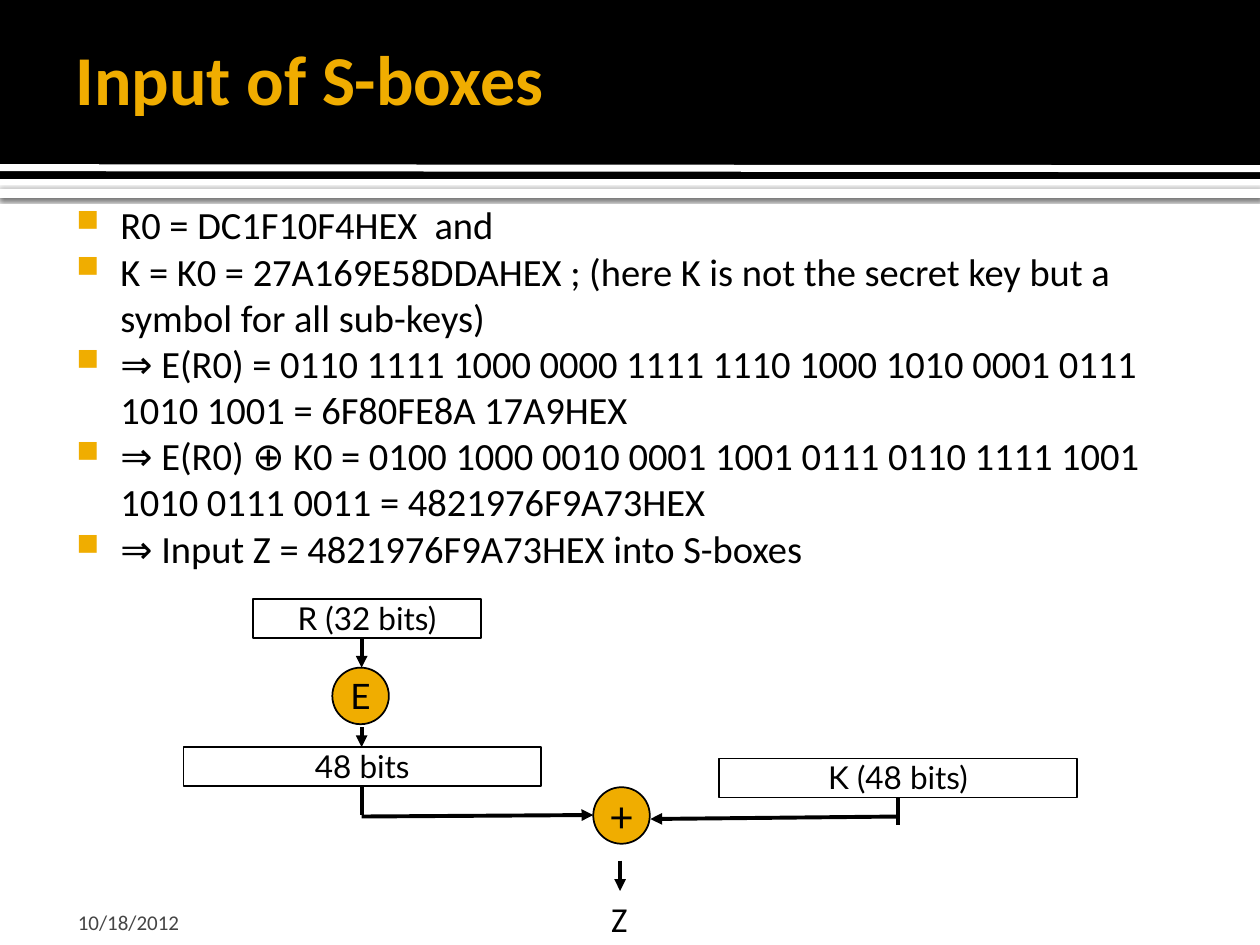
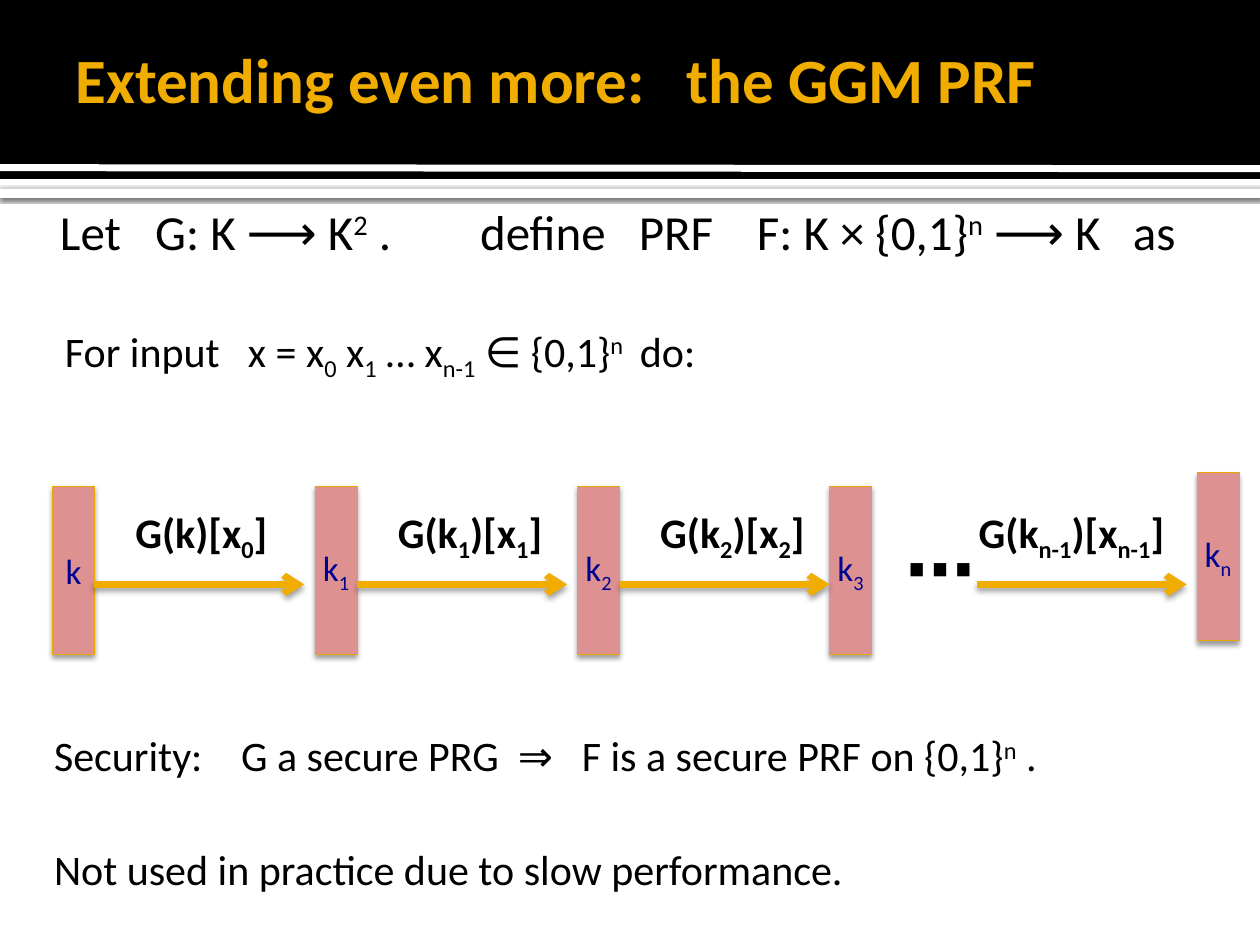
from dataclasses import dataclass
from lxml.etree import SubElement
from pptx import Presentation
from pptx.dml.color import RGBColor
from pptx.enum.shapes import MSO_CONNECTOR, MSO_SHAPE
from pptx.enum.text import MSO_ANCHOR, MSO_AUTO_SIZE, PP_ALIGN
from pptx.oxml.ns import qn
from pptx.util import Cm, Pt


@dataclass(frozen=True)
class Theme:
    black: str = "000000"
    white: str = "FFFFFF"
    gold: str = "F0AD00"
    edge: str = "EBA900"
    pink: str = "DD9191"
    navy: str = "000090"
    grey: str = "454545"
    body_font: str = "Calibri"
    diagram_font: str = "Lato"
    small: int = 12
    bits: int = 18
    label: int = 20
    bullet: int = 22
    text: int = 24
    lead: int = 28
    title: int = 40
    long_title: int = 36


T = Theme()
RECT, OVAL, LINE, TEXT = MSO_SHAPE.RECTANGLE, MSO_SHAPE.OVAL, MSO_CONNECTOR.STRAIGHT, None
LEFT, CENTER = PP_ALIGN.LEFT, PP_ALIGN.CENTER
TOP, MIDDLE, BOTTOM = MSO_ANCHOR.TOP, MSO_ANCHOR.MIDDLE, MSO_ANCHOR.BOTTOM


def draw(shapes, kind, box, fill=None, line=None, width=1, tail=None, shadow=None):
    """Add a shape, line or text box; box is x, y, width, height in cm.

    shadow is opacity in percent, blur and distance in points.
    """
    x, y, w, h = box
    if kind is TEXT:
        return shapes.add_textbox(Cm(x), Cm(y), Cm(w), Cm(h))
    if kind is LINE:
        sp = shapes.add_connector(LINE, Cm(x), Cm(y), Cm(x + w), Cm(y + h))
    else:
        sp = shapes.add_shape(kind, Cm(x), Cm(y), Cm(w), Cm(h))
        if fill:
            sp.fill.solid()
            sp.fill.fore_color.rgb = RGBColor.from_string(fill)
        else:
            sp.fill.background()
    if line:
        sp.line.color.rgb = RGBColor.from_string(line)
        sp.line.width = Pt(width)
    else:
        sp.line.fill.background()
    spPr = sp._element.spPr
    if tail:
        SubElement(spPr.find(qn("a:ln")), qn("a:tailEnd"), type=tail)
    effects = SubElement(spPr, qn("a:effectLst"))
    if shadow:
        alpha, blur, dist = shadow
        outer = SubElement(effects, qn("a:outerShdw"), blurRad=str(Pt(blur)),
                           dist=str(Pt(dist)), dir="5400000", rotWithShape="0")
        clr = SubElement(outer, qn("a:srgbClr"), val=T.black)
        SubElement(clr, qn("a:alpha"), val=str(alpha * 1000))
    return sp


def write(sp, lines, size, color=T.black, font=T.body_font, bold=False, align=LEFT,
          anchor=TOP, insets=(0.25, 0.13, 0.25, 0.13), wrap=False, bullet=None, tabs=()):
    """Fill a shape with paragraphs; "|" parts runs, "_" lowers one and "^" raises it."""
    tf = sp.text_frame
    frame = dict(auto_size=MSO_AUTO_SIZE.NONE, word_wrap=wrap, vertical_anchor=anchor)
    frame.update(zip(("margin_left", "margin_top", "margin_right", "margin_bottom"),
                     map(Cm, insets)))
    for name, value in frame.items():
        setattr(tf, name, value)
    for i, text in enumerate(lines):
        p = tf.add_paragraph() if i else tf.paragraphs[0]
        p.alignment = align
        pPr = p._p.get_or_add_pPr()
        if bullet:
            pPr.set("marL", str(Cm(1.22)))
            pPr.set("indent", str(Cm(-0.89)))
            SubElement(SubElement(pPr, qn("a:buClr")), qn("a:srgbClr"), val=T.gold)
            SubElement(pPr, qn("a:buSzPct"), val="80000")
            SubElement(pPr, qn("a:buChar"), char=bullet)
        if tabs:
            stops = SubElement(pPr, qn("a:tabLst"))
            for pos in tabs:
                SubElement(stops, qn("a:tab"), pos=str(Cm(pos)), algn="l")
        for part in text.split("|"):
            shift = {"_": "-25000", "^": "30000"}.get(part[0])
            r = p.add_run()
            r.text = part[1:] if shift else part
            for name, value in dict(size=Pt(size), name=font, bold=bold).items():
                setattr(r.font, name, value)
            r.font.color.rgb = RGBColor.from_string(color)
            if shift:
                r._r.get_or_add_rPr().set("baseline", shift)


prs = Presentation()
prs.slide_width, prs.slide_height = Cm(25.4), Cm(19.05)
slides = []
for title, size, tabs in (("Input of S-boxes", T.title, ()),
                          ("Extending even more:\tthe GGM PRF", T.long_title, (12.32,))):
    s = prs.slides.add_slide(prs.slide_layouts[5])
    sp = s.shapes.title
    sp.left, sp.top, sp.width, sp.height = Cm(1.27), Cm(0.2), Cm(20.96), Cm(2.74)
    write(sp, [title], size, T.gold, bold=True, anchor=MIDDLE, wrap=True, tabs=tabs)
    slides.append(s)
sbox, ggm = (s.shapes for s in slides)

# Header bands belong to the master, behind every slide
bands = (draw(sbox, RECT, (0, 3.81, 25.4, 0.18), T.white, shadow=(60, 2.5, 0.8)),
         draw(sbox, RECT, (0, 0, 25.4, 3.61), T.black),
         draw(sbox, LINE, (0, 3.38, 25.4, 0.02), line=T.white, width=4))
for i, band in enumerate(bands):
    band._element.find(".//" + qn("p:cNvPr")).set("id", str(100 + i))
    prs.slide_master.shapes._spTree.insert(2 + i, band._element)

# Slide 1: input of S-boxes
body_box, body_insets = (1.06, 3.81, 23.7, 14.17), (0.15, 0.25, 0.25, 0.13)
write(draw(sbox, TEXT, body_box), [
    "R0 = DC1F10F4HEX\tand",
    "K = K0 = 27A169E58DDAHEX ; (here K is not the secret key but a symbol for all sub-keys)",
    "⇒ E(R0) = 0110 1111 1000 0000 1111 1110 1000 1010 0001 0111 1010 1001 = 6F80FE8A 17A9HEX",
    "⇒ E(R0) ⊕ K0 = 0100 1000 0010 0001 1001 0111 0110 1111 1001 1010 0111 0011 = 4821976F9A73HEX",
    "⇒ Input Z = 4821976F9A73HEX into S-boxes",
], T.bullet, insets=body_insets, wrap=True, bullet="■", tabs=(7.55,))
write(draw(sbox, TEXT, (1.27, 18.08, 5.92, 0.76)), ["10/18/2012"], T.small, T.grey,
      anchor=BOTTOM, insets=(0.3, 0.13, 0.13, 0), wrap=True)

for text, x, y, w in (("R (32 bits)", 5.1, 12.07, 4.6), ("48 bits", 3.7, 15.06, 7.21),
                      ("K (48 bits)", 14.5, 15.29, 7.21)):
    write(draw(sbox, RECT, (x, y, w, 0.79), line=T.black), [text], T.bits,
          font=T.diagram_font, align=CENTER, insets=(0, 0, 0, 0), wrap=True)
for text, x, y, size in (("E", 6.7, 13.46, T.label), ("+", 11.96, 15.87, T.text)):
    write(draw(sbox, OVAL, (x, y, 1.14, 1.14), T.gold, T.black), [text], size,
          font=T.diagram_font, align=CENTER, anchor=MIDDLE)
for box, tail in (((7.29, 12.88, 0, 0.58), "triangle"), ((7.29, 14.66, 0, 0.4), "triangle"),
                  ((7.3, 15.87, 0, 0.56), None), ((7.29, 16.46, 4.67, -0.03), "triangle"),
                  ((18.11, 16.08, 0, 0.55), None), ((18.11, 16.46, -5, 0.05), "triangle"),
                  ((12.5, 17.35, 0, 0.61), "triangle")):
    draw(sbox, LINE, box, line=T.black, width=2.25, tail=tail)
write(draw(sbox, TEXT, (12.07, 17.96, 0.9, 1.09)), ["Z"], T.label)

# Slide 2: the GGM PRF
write(draw(ggm, TEXT, body_box),
      ["Let\tG: K ⟶ K|^2| .\tdefine\tPRF\tF: K × {0,1}|^n| ⟶ K\tas"], T.lead,
      insets=body_insets, wrap=True, tabs=(1.92, 8.47, 11.67, 14.05, 21.63))
for text, x, y, w, tabs in (
        ("For input\tx = x|_0| x|_1| … x|_n-1| ∈ {0,1}|^n|\tdo:", 1.06, 6.43, 14, (3.69, 11.59)),
        ("Security:\tG a secure PRG\t⇒\tF is a secure PRF on {0,1}|^n| .", 0.84, 14.58, 21,
         (3.77, 9.35, 10.64)),
        ("Not used in practice due to slow performance.", 0.84, 16.87, 17.5, ())):
    write(draw(ggm, TEXT, (x, y, w, 1.27)), [text], T.text, wrap=True, tabs=tabs)

for key, x, y in (("k", 1.06, 9.8), ("k|_1", 6.35, 9.8), ("k|_2", 11.64, 9.8),
                  ("k|_3", 16.72, 9.8), ("k|_n", 24.13, 9.53)):
    block = draw(ggm, RECT, (x, y, 0.85, 3.39), T.pink, T.edge, 0.5, shadow=(38, 3.1, 2))
    write(block, [key], T.label, T.navy, align=CENTER, anchor=MIDDLE,
          insets=(0, 0.13, 0, 0.13), wrap=True)
for step, x, label_x, label_w in (("G(k)[x|_0|]", 1.9, 2.48, 3.33),
                                  ("G(k|_1|)[x|_1|]", 7.2, 7.77, 3.6),
                                  ("G(k|_2|)[x|_2|]", 12.49, 13.06, 3.6),
                                  ("G(k|_n-1|)[x|_n-1|]", 19.69, 19.48, 4.62)):
    group = ggm.add_group_shape().shapes
    draw(group, LINE, (x, 11.78, 4.23, 0), line=T.gold, width=3.78, tail="arrow",
         shadow=(38, 3.5, 2))
    write(draw(group, TEXT, (label_x, 10.08, label_w, 1.27)), [step], T.text, bold=True)
write(draw(ggm, TEXT, (18.01, 10.44, 1.7, 1.96)), ["⋯"], T.title, bold=True)

prs.save("out.pptx")
